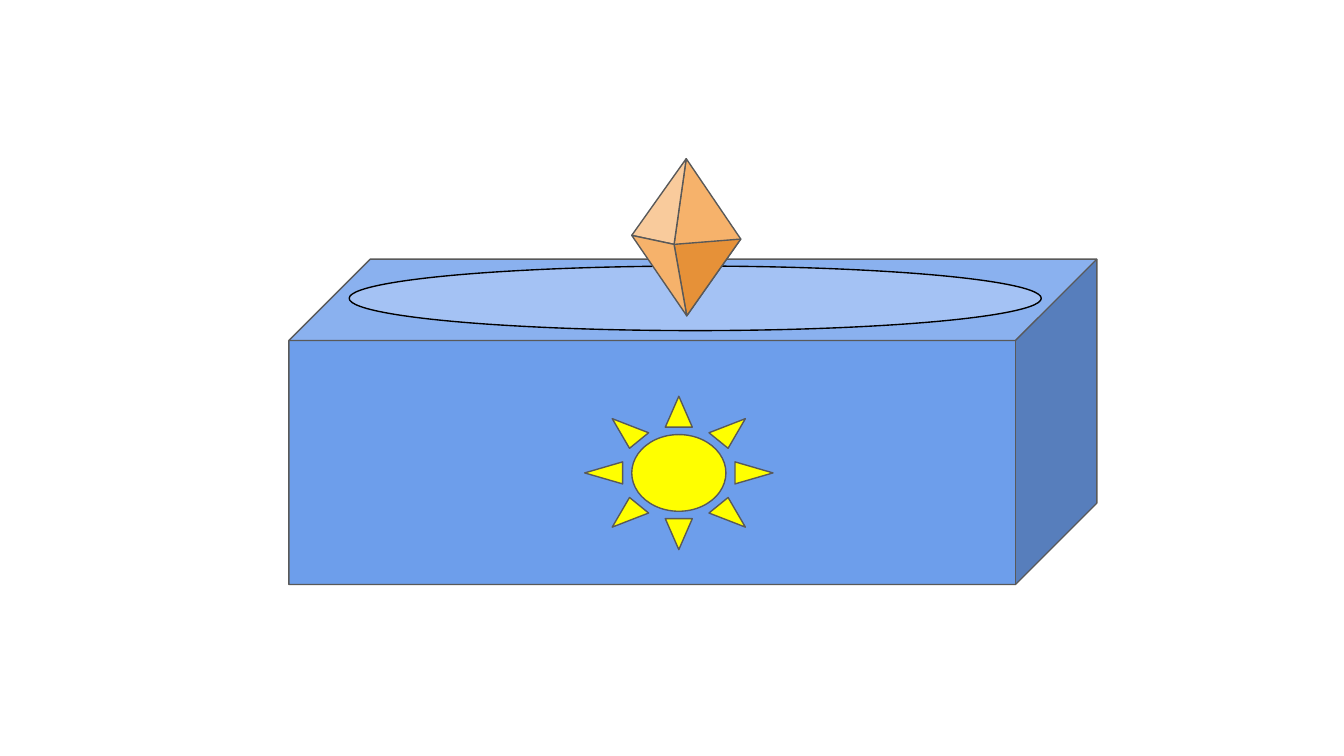
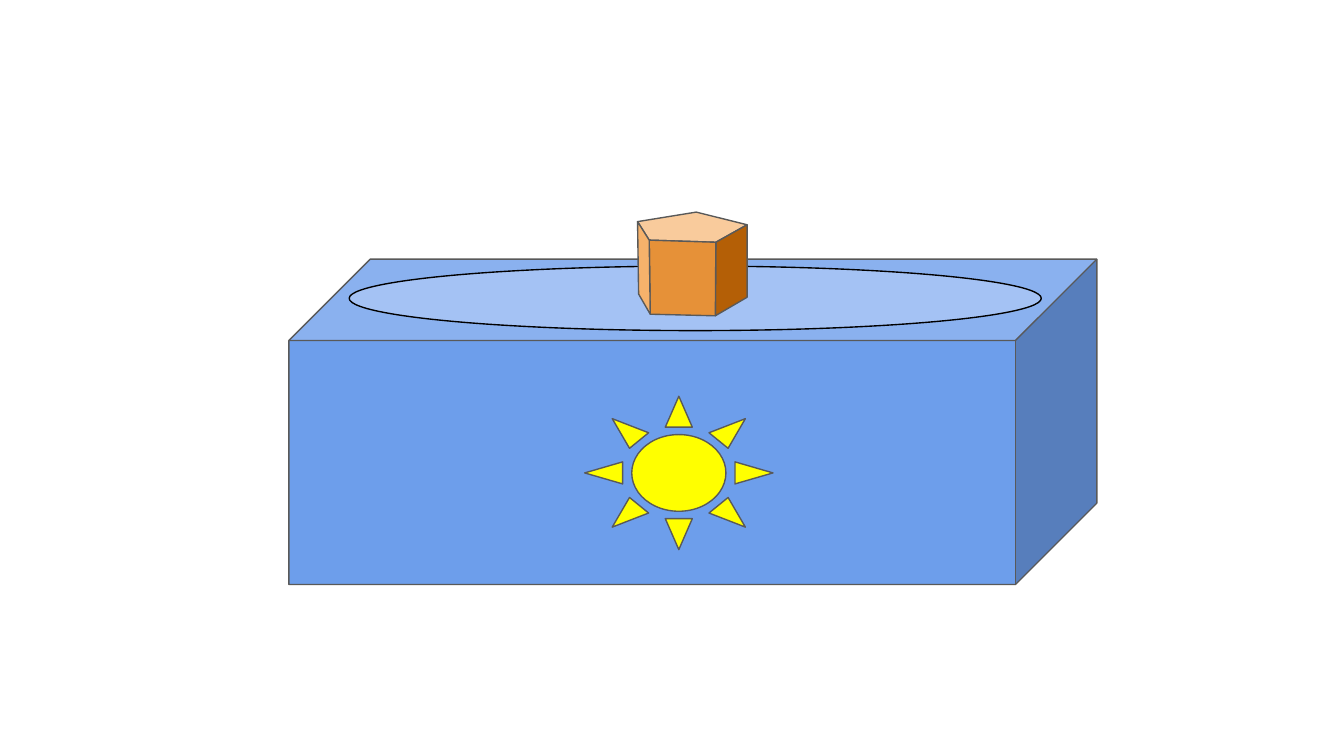
from pptx import Presentation
from pptx.dml.color import RGBColor
from pptx.enum.shapes import MSO_SHAPE
from pptx.util import Cm, Pt

COLORS = {
    "box": "6D9EEB", "sun": "FFFF00", "pool": "A4C2F4",
    "pale": "F9CB9C", "light": "F6B26B", "mid": "E69138", "dark": "B45F06",
    "edge": "595959", "black": "000000",
}

PEDESTAL = [
    (MSO_SHAPE.CUBE, (5.46, 4.9, 15.27, 6.15), "box", "edge"),
    (MSO_SHAPE.SUN, (11.05, 7.49, 3.56, 2.9), "sun", "edge"),
    (MSO_SHAPE.OVAL, (6.6, 5.03, 13.08, 1.22), "pool", "black"),
]

OCTAHEDRON = {
    "points": {
        "top": (12.97, 3), "left": (11.94, 4.45), "front": (12.74, 4.62),
        "right": (14, 4.52), "bottom": (12.98, 5.97),
    },
    "faces": [
        ("top front bottom right", "light"),
        ("front right bottom", "mid"),
        ("top left front", "pale"),
        ("front left bottom", "light"),
    ],
}

PRISM = {
    "points": {
        "right": (14.12, 4.25), "back": (13.16, 4.01), "left": (12.05, 4.19),
        "front_left": (12.27, 4.54), "front_right": (13.53, 4.58),
        "base_left": (12.07, 5.56), "base_front_left": (12.29, 5.94),
        "base_front_right": (13.52, 5.97), "base_right": (14.12, 5.62),
    },
    "faces": [
        ("right back left front_left front_right", "pale"),
        ("right front_right base_front_right base_right", "dark"),
        ("front_right front_left base_front_left base_front_right", "mid"),
        ("left front_left base_front_left base_left", "light"),
    ],
}


def paint(sp, fill, line):
    sp.shadow.inherit = False
    sp.fill.solid()
    sp.fill.fore_color.rgb = RGBColor.from_string(COLORS[fill])
    sp.line.color.rgb = RGBColor.from_string(COLORS[line])
    sp.line.width = Pt(0.75)


prs = Presentation()
prs.slide_width, prs.slide_height = Cm(25.4), Cm(14.29)

for solid in (OCTAHEDRON, PRISM):
    s = prs.slides.add_slide(prs.slide_layouts[6])

    pedestal = s.shapes.add_group_shape()
    for kind, box, fill, line in PEDESTAL:
        sp = pedestal.shapes.add_shape(kind, *map(Cm, box))
        sp.adjustments
        if len(sp.adjustments):
            sp.adjustments[0] = 0.25
        paint(sp, fill, line)

    crystal = s.shapes.add_group_shape()
    for names, fill in solid["faces"]:
        pts = [tuple(map(Cm, solid["points"][name])) for name in names.split()]
        fb = crystal.shapes.build_freeform(*pts[0])
        fb.add_line_segments(pts[1:], close=True)
        paint(fb.convert_to_shape(), fill, "edge")

prs.save("out.pptx")
